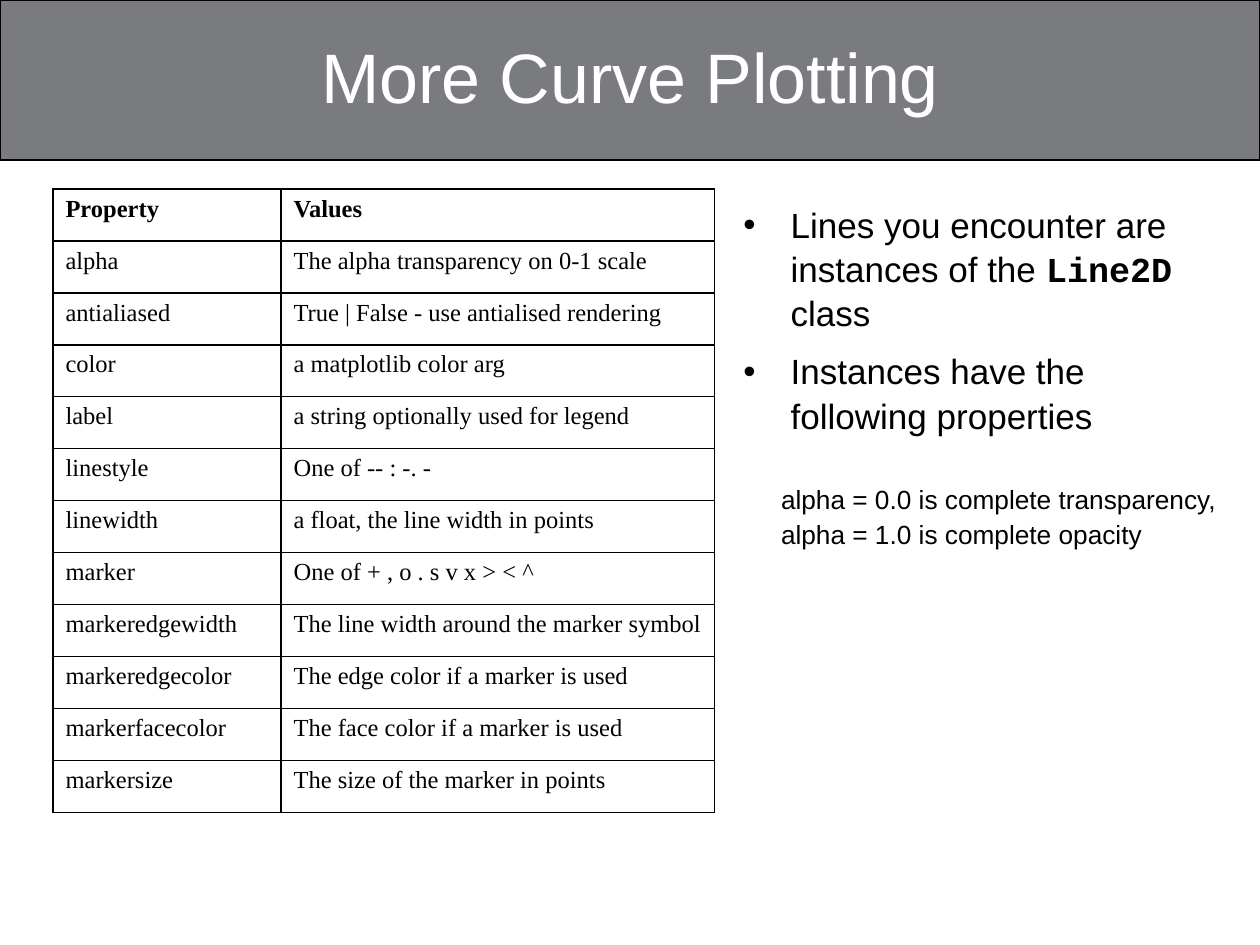
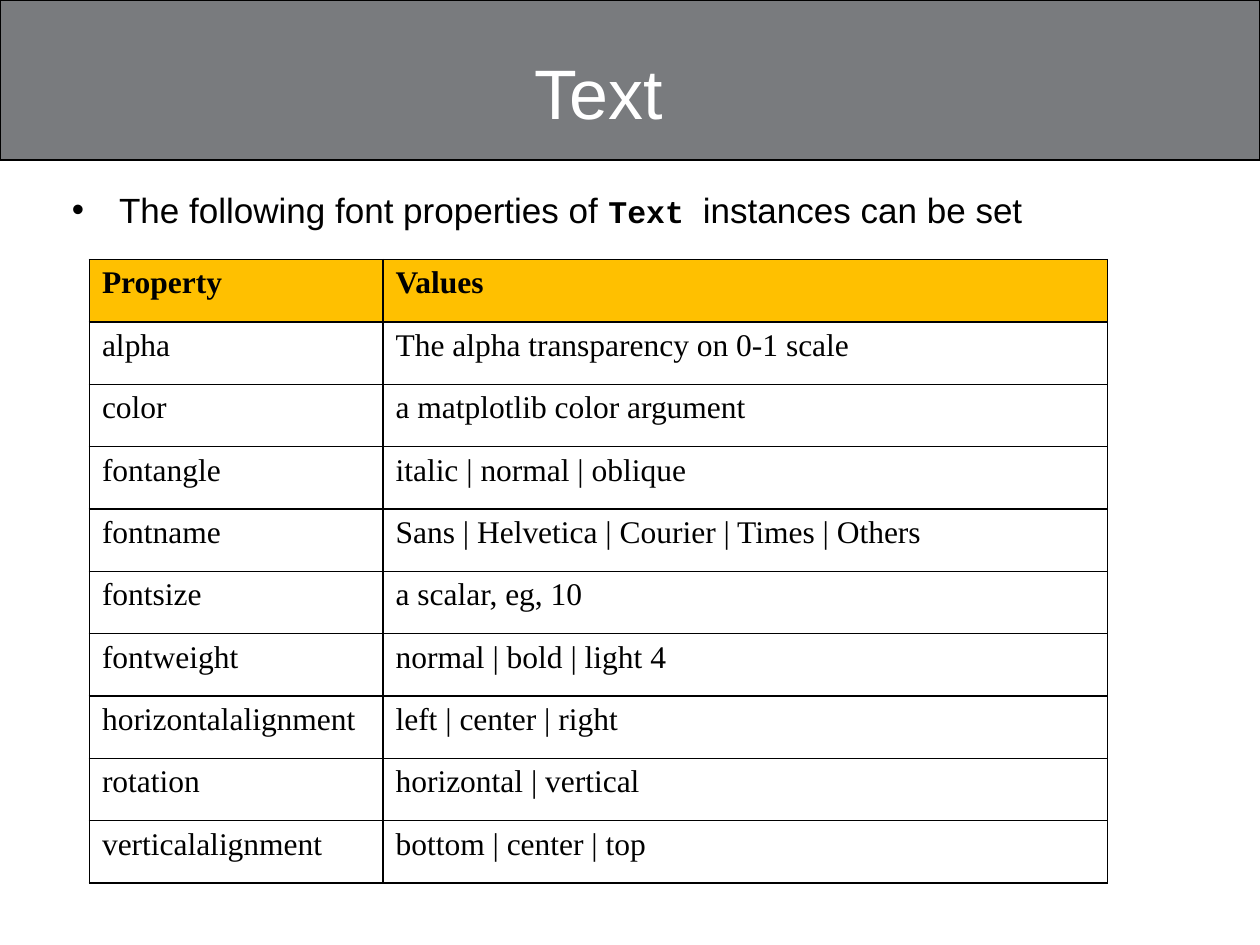
"""Build two slides on line and text properties for plotting."""
from lxml import etree
from pptx import Presentation
from pptx.dml.color import RGBColor
from pptx.enum.shapes import MSO_SHAPE
from pptx.enum.text import MSO_ANCHOR, MSO_AUTO_SIZE, PP_ALIGN
from pptx.oxml.ns import qn
from pptx.util import Inches, Pt

RECT = MSO_SHAPE.RECTANGLE
MID, TOP = MSO_ANCHOR.MIDDLE, MSO_ANCHOR.TOP
FIXED = MSO_AUTO_SIZE.NONE
CENTER = PP_ALIGN.CENTER

HUES = {"band": "797B7E", "ink": "000000", "paper": "FFFFFF", "gold": "FFC000"}
SANS, MONO, SERIF = "Arial", "Courier New", "Times New Roman"

LINES = [
    ("Property", "Values"),
    ("alpha", "The alpha transparency on 0-1 scale"),
    ("antialiased", "True | False - use antialised rendering"),
    ("color", "a matplotlib color arg"),
    ("label", "a string optionally used for legend"),
    ("linestyle", "One of -- : -. -"),
    ("linewidth", "a float, the line width in points"),
    ("marker", "One of + , o . s v x > < ^"),
    ("markeredgewidth", "The line width around the marker symbol"),
    ("markeredgecolor", "The edge color if a marker is used"),
    ("markerfacecolor", "The face color if a marker is used"),
    ("markersize", "The size of the marker in points"),
]
FONTS = [
    ("Property", "Values"),
    ("alpha", "The alpha transparency on 0-1 scale"),
    ("color", "a matplotlib color argument"),
    ("fontangle", "italic | normal | oblique"),
    ("fontname", "Sans | Helvetica | Courier | Times | Others"),
    ("fontsize", "a scalar, eg, 10"),
    ("fontweight", "normal | bold | light 4"),
    ("horizontalalignment", "left | center | right"),
    ("rotation", "horizontal | vertical"),
    ("verticalalignment", "bottom | center | top"),
]


def color(name):
    return RGBColor.from_string(HUES[name])


class Deck:
    """Hold the shared style and the current slide."""

    def __init__(self):
        self.prs = Presentation()
        self.prs.slide_width = Inches(10)
        self.prs.slide_height = Inches(7.5)
        self.slide = None

    def start(self, title, box):
        self.slide = self.prs.slides.add_slide(self.prs.slide_layouts[1])
        self.band()
        head = self.slide.shapes.title
        self.place(head, box, MID)
        para = head.text_frame.paragraphs[0]
        para.alignment = CENTER
        self.run(para, title, 40, hue="paper")

    def band(self):
        band = self.slide.shapes.add_shape(RECT, 0, 0, Inches(10), Inches(1.27))
        band.shadow.inherit = False
        band.fill.solid()
        band.fill.fore_color.rgb = color("band")
        band.line.color.rgb = color("ink")
        band.line.width = Pt(0.75)
        self.slide.shapes._spTree.insert(2, band._element)

    def place(self, shape, box, anchor):
        shape.left, shape.top, shape.width, shape.height = map(Inches, box)
        frame = shape.text_frame
        frame.word_wrap = True
        frame.auto_size = FIXED
        frame.vertical_anchor = anchor

    def run(self, para, text, size, face=SANS, bold=False, hue="ink"):
        run = para.add_run()
        run.text = text
        font = run.font
        font.size, font.name, font.bold = Pt(size), face, bold
        font.color.rgb = color(hue)

    def body(self, box, items):
        shape = self.slide.placeholders[1]
        self.place(shape, box, TOP)
        frame = shape.text_frame
        for i, runs in enumerate(items):
            para = frame.add_paragraph() if i else frame.paragraphs[0]
            para.space_before = Pt(8 if i else 4)
            para.line_spacing = 1.05
            for run in runs:
                self.run(para, *run)

    def note(self, box, runs):
        shape = self.slide.shapes.add_textbox(*map(Inches, box))
        self.place(shape, box, TOP)
        for run in runs:
            self.run(shape.text_frame.paragraphs[0], *run)

    def edge(self, cell):
        props = cell._tc.get_or_add_tcPr()
        for side in ("lnL", "lnR", "lnT", "lnB"):
            line = etree.SubElement(props, qn(f"a:{side}"), w=str(Pt(1)))
            fill = etree.SubElement(line, qn("a:solidFill"))
            etree.SubElement(fill, qn("a:srgbClr"), val=HUES["ink"])

    def table(self, left, top, cols, rows, size, head=None):
        frame = self.slide.shapes.add_table(
            len(rows), len(cols), Inches(left), Inches(top),
            Inches(sum(cols)), Inches(4.95))
        table = frame.table
        table.first_row = table.horz_banding = False
        for col, width in zip(table.columns, cols):
            col.width = Inches(width)
        for r, row in enumerate(rows):
            for c, text in enumerate(row):
                cell = table.cell(r, c)
                cell.margin_right = Inches(0.05)
                self.edge(cell)
                if head and r == 0:
                    cell.fill.solid()
                    cell.fill.fore_color.rgb = color(head)
                else:
                    cell.fill.background()
                para = cell.text_frame.paragraphs[0]
                self.run(para, text, size, SERIF, r == 0)


def main():
    deck = Deck()

    deck.start("More Curve Plotting", (0, 0.17, 10, 0.86))
    deck.body((5.8, 1.55, 3.88, 2.32), [
        [("Lines you encounter are instances of the ", 20),
         ("Line2D", 20, MONO, True), (" class", 20)],
        [("Instances have the following properties", 20)],
    ])
    deck.table(0.42, 1.5, (1.81, 3.44), LINES, 14)
    deck.note((6.1, 3.79, 3.75, 0.67), [
        ("alpha = 0.0 is complete transparency, "
         "alpha = 1.0 is complete opacity", 15),
        (" ", 17),
    ])

    deck.start("Text", (0, 0.3, 9.5, 0.86))
    deck.body((0.47, 1.43, 8.92, 0.42), [
        [("The following font properties of ", 20),
         ("Text ", 18, MONO, True), ("instances can be set", 20)],
    ])
    deck.table(0.71, 2.06, (2.33, 5.75), FONTS, 18, "gold")

    deck.prs.save("out.pptx")


if __name__ == "__main__":
    main()
